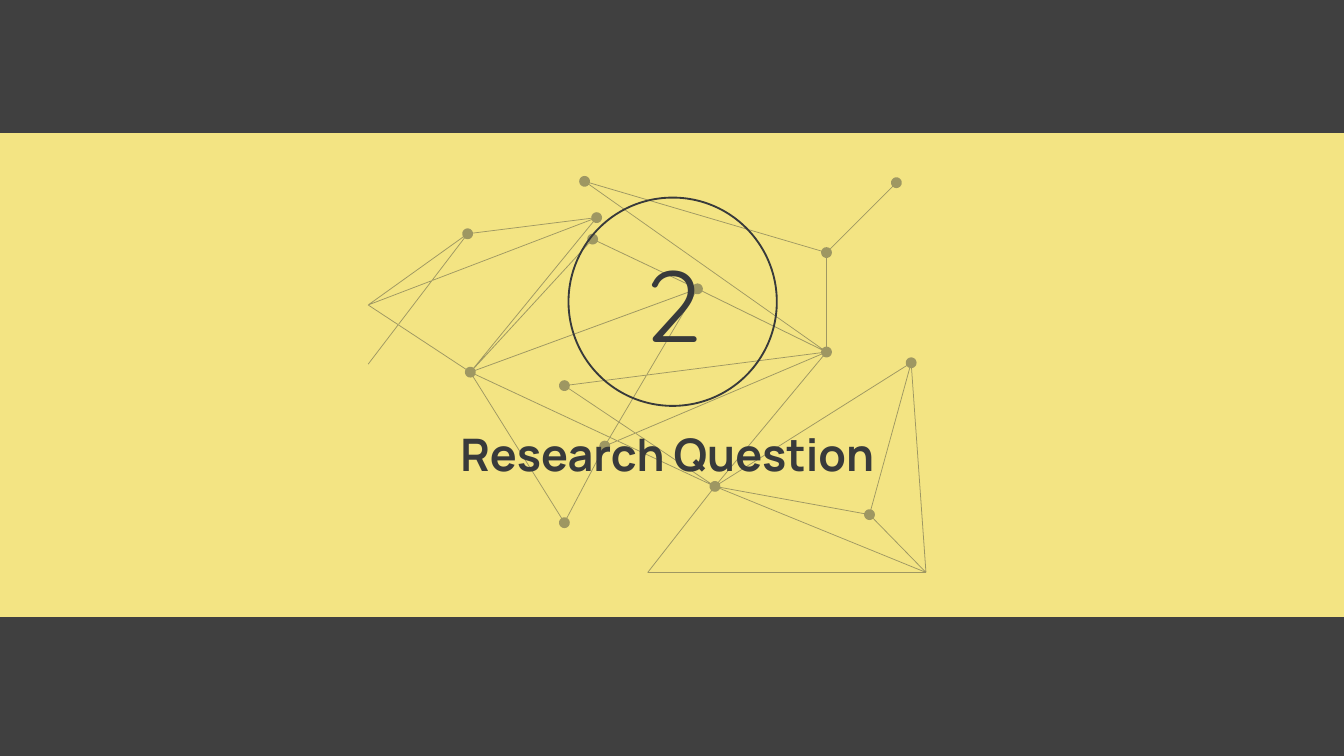
import math

import pptx
import pptx.dml.color
import pptx.enum.shapes
import pptx.enum.text
import pptx.oxml
import pptx.oxml.ns
import pptx.util
from pptx.util import Inches, Pt

INK = "383A3B"
YELLOW = "F3E483"
CHARCOAL = "404040"
NODE_RADIUS = Inches(0.04)
EDGE_WIDTH = Pt(0.4)
CIRCLE_STEPS = 24

NODES = {
    "A": (6.78, 2.70), "B": (6.15, 2.62), "C": (6.15, 1.88),
    "D": (6.67, 1.36), "E": (4.35, 1.35), "F": (5.19, 2.15),
    "G": (4.41, 1.78), "H": (4.44, 1.62), "I": (3.48, 1.74),
    "J": (3.50, 2.77), "K": (4.20, 3.89), "L": (4.50, 3.32),
    "M": (5.32, 3.62), "N": (4.20, 2.87), "O": (6.47, 3.83),
}
CORNERS = {
    "P": (2.74, 2.27), "Q": (2.74, 2.71),
    "R": (6.89, 4.26), "S": (4.82, 4.26),
}
EDGES = (
    "AR AO AM OR OM MR MS SR MB BC CD CE EB FB FG GJ "
    "HJ HI HP IP IQ PJ JK JM JF FL LK LB NB NM"
).split()


def color(value):
    return pptx.dml.color.RGBColor.from_string(value)


def paint(shape, fill=None, line=None, width=1):
    shape.shadow.inherit = False
    if fill:
        shape.fill.solid()
        shape.fill.fore_color.rgb = color(fill)
    else:
        shape.fill.background()
    if line:
        shape.line.color.rgb = color(line)
        shape.line.width = Pt(width)
    else:
        shape.line.fill.background()


def set_opacity(shape, percent):
    rgb = shape._element.spPr.find(".//" + pptx.oxml.ns.qn("a:srgbClr"))
    alpha = pptx.oxml.parse_xml(
        f'<a:alpha {pptx.oxml.ns.nsdecls("a")} val="{percent * 1000}"/>'
    )
    rgb.append(alpha)


def write(shape, text, inset, font):
    frame = shape.text_frame
    frame_format = {
        "word_wrap": True,
        "auto_size": pptx.enum.text.MSO_AUTO_SIZE.NONE,
        "vertical_anchor": pptx.enum.text.MSO_ANCHOR.MIDDLE,
        "margin_left": inset,
        "margin_right": inset,
        "margin_top": inset,
        "margin_bottom": inset,
    }
    for name, value in frame_format.items():
        setattr(frame, name, value)
    paragraph = frame.paragraphs[0]
    paragraph.alignment = pptx.enum.text.PP_ALIGN.CENTER
    run = paragraph.add_run()
    run.text = text
    for name, value in font.items():
        setattr(run.font, name, value)
    run.font.color.rgb = color(INK)


def node_outline(center):
    x, y = map(Inches, center)
    angles = (2 * math.pi * step / CIRCLE_STEPS for step in range(CIRCLE_STEPS))
    return [
        (x + NODE_RADIUS * math.cos(angle), y + NODE_RADIUS * math.sin(angle))
        for angle in angles
    ]


def edge_outline(start, end):
    points = {**NODES, **CORNERS}
    x1, y1 = map(Inches, points[start])
    x2, y2 = map(Inches, points[end])
    length = math.hypot(x2 - x1, y2 - y1)
    ux, uy = (x2 - x1) / length, (y2 - y1) / length
    start_trim = NODE_RADIUS if start in NODES else 0
    end_trim = NODE_RADIUS if end in NODES else 0
    x1, y1 = x1 + ux * start_trim, y1 + uy * start_trim
    x2, y2 = x2 - ux * end_trim, y2 - uy * end_trim
    dx, dy = -uy * EDGE_WIDTH / 2, ux * EDGE_WIDTH / 2
    return [
        (x1 + dx, y1 + dy), (x2 + dx, y2 + dy),
        (x2 - dx, y2 - dy), (x1 - dx, y1 - dy),
    ]


def add_network(slide):
    outlines = [edge_outline(*edge) for edge in EDGES]
    outlines += [node_outline(center) for center in NODES.values()]
    builder = slide.shapes.build_freeform(*outlines[0][0], scale=1.0)
    for index, outline in enumerate(outlines):
        if index:
            builder.move_to(*outline[0])
        builder.add_line_segments(outline[1:], close=True)
    network = builder.convert_to_shape()
    paint(network, INK)
    set_opacity(network, 45)


def add_band(slide, width):
    band = slide.shapes.add_shape(
        pptx.enum.shapes.MSO_SHAPE.RECTANGLE,
        0, Inches(0.99), width, Inches(3.6),
    )
    paint(band, YELLOW)


def add_section_number(slide, number):
    ring = slide.shapes.add_shape(
        pptx.enum.shapes.MSO_SHAPE.OVAL,
        Inches(4.23), Inches(1.47), Inches(1.55), Inches(1.55),
    )
    paint(ring, line=INK)
    write(ring, number, Inches(0.1), {"name": "Quicksand", "size": Pt(54)})


def place_title(slide, text):
    title = slide.shapes.title
    place = {
        "left": Inches(2.95), "top": Inches(3.08),
        "width": Inches(4.03), "height": Inches(0.59),
    }
    for name, value in place.items():
        setattr(title, name, value)
    write(title, text, Inches(0.02),
          {"name": "Manrope", "size": Pt(24), "bold": True})
    slide.shapes._spTree.append(title._element)


def main():
    presentation = pptx.Presentation()
    presentation.slide_width = Inches(10)
    presentation.slide_height = presentation.slide_width * 9 // 16
    slide = presentation.slides.add_slide(presentation.slide_layouts[5])
    slide.background.fill.solid()
    slide.background.fill.fore_color.rgb = color(CHARCOAL)
    add_band(slide, presentation.slide_width)
    add_network(slide)
    add_section_number(slide, "2")
    place_title(slide, "Research Question")
    presentation.save("out.pptx")


if __name__ == "__main__":
    main()
